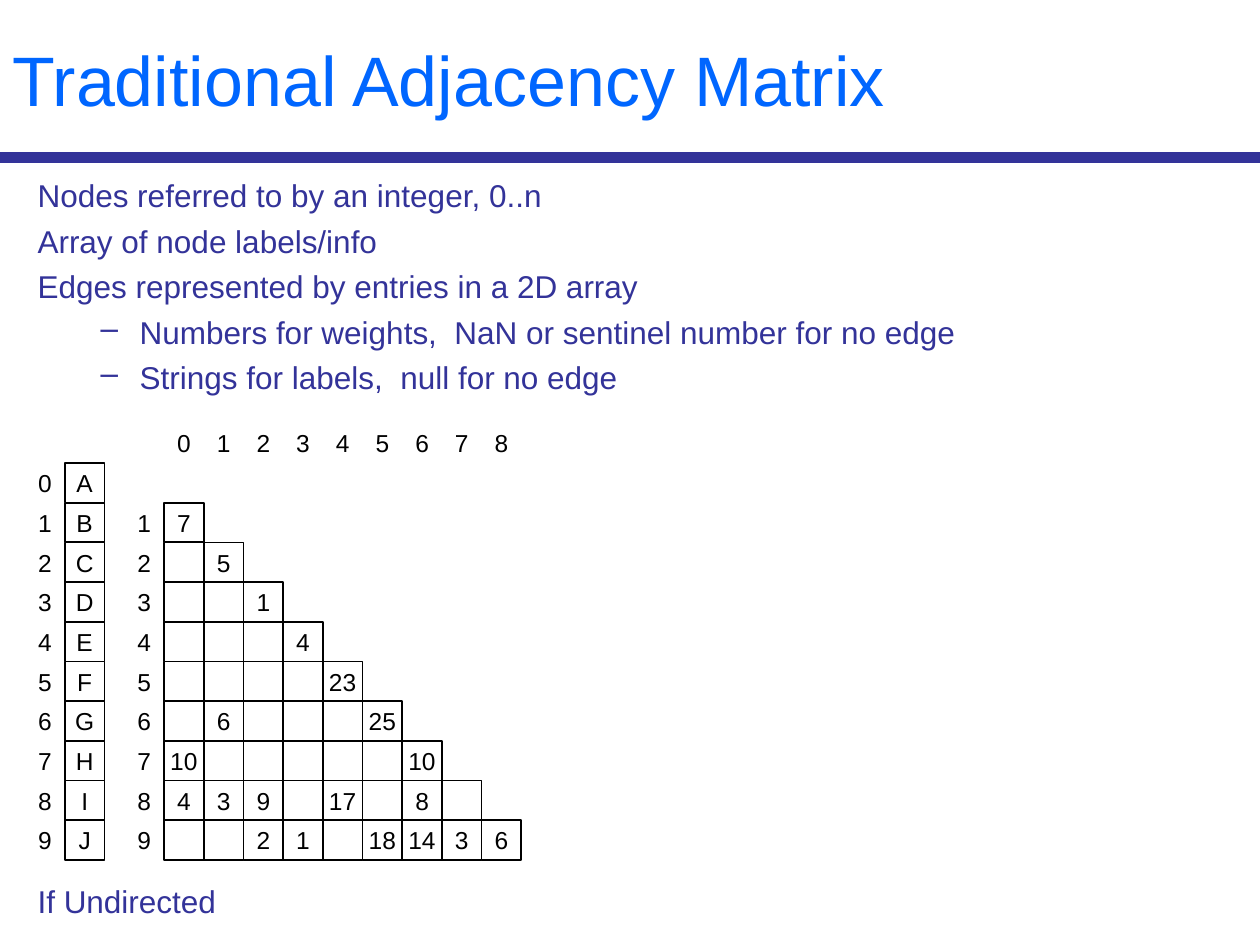
from lxml import etree
from pptx import Presentation
from pptx.dml.color import RGBColor
from pptx.enum.shapes import MSO_CONNECTOR, MSO_SHAPE
from pptx.enum.text import MSO_ANCHOR, PP_ALIGN
from pptx.oxml.ns import qn
from pptx.util import Inches, Pt

STRAIGHT = MSO_CONNECTOR.STRAIGHT
RECTANGLE = MSO_SHAPE.RECTANGLE
MIDDLE = MSO_ANCHOR.MIDDLE
LEFT, CENTER = PP_ALIGN.LEFT, PP_ALIGN.CENTER

# Grid of square cells
PITCH = 0.315
GRID_LEFT, GRID_TOP = 0.2, 3.36
LABEL_COLUMN, MATRIX_COLUMN = 2.5, 3.5


def style_font(font, size, color):
    font.name = "Arial"
    font.size = Pt(size)
    font.color.rgb = RGBColor.from_string(color)


def add_cell(column, row, text, outlined):
    shape = slide.shapes.add_shape(
        RECTANGLE, Inches(GRID_LEFT + column * PITCH),
        Inches(GRID_TOP + row * PITCH), Inches(PITCH), Inches(PITCH))
    shape.shadow.inherit = False
    shape.fill.solid()
    shape.fill.fore_color.rgb = RGBColor.from_string("FFFFFF")
    if outlined:
        shape.line.color.rgb = RGBColor.from_string("000000")
        shape.line.width = Pt(1)
    else:
        shape.line.fill.background()
    if text:
        frame = shape.text_frame
        frame.text = text
        frame.word_wrap = False
        frame.vertical_anchor = MIDDLE
        frame.paragraphs[0].alignment = CENTER
        style_font(frame.paragraphs[0].runs[0].font, 14, "000000")


presentation = Presentation()
presentation.slide_width = Inches(10)
presentation.slide_height = Inches(7.5)
slide = presentation.slides.add_slide(presentation.slide_layouts[5])

# Title and the rule below it
title = slide.shapes.title
title.left, title.top = 0, 0
title.width, title.height = presentation.slide_width, Inches(1.25)
title.text_frame.text = "Traditional Adjacency Matrix"
title.text_frame.vertical_anchor = MIDDLE
title.text_frame.paragraphs[0].alignment = LEFT
style_font(title.text_frame.paragraphs[0].runs[0].font, 40, "0066FF")

rule = slide.shapes.add_connector(
    STRAIGHT, 0, Inches(1.25), presentation.slide_width, Inches(1.25))
rule.line.color.rgb = RGBColor.from_string("333399")
rule.line.width = Pt(6)
etree.SubElement(rule._element.spPr, qn("a:effectLst"))

# Points above and below the matrix: (top, height, [(level, text)])
text_blocks = [
    (1.35, 1.85, [
        (0, "Nodes referred to by an integer, 0..n"),
        (0, "Array of node labels/info"),
        (0, "Edges represented by entries in a 2D array"),
        (1, "Numbers for weights,  NaN or sentinel number for no edge"),
        (1, "Strings for labels,  null for no edge"),
    ]),
    (6.95, 0.4, [(0, "If Undirected")]),
]
for top, height, points in text_blocks:
    box = slide.shapes.add_textbox(
        Inches(0.2), Inches(top), Inches(9.6), Inches(height))
    frame = box.text_frame
    frame.word_wrap = True
    for index, (level, text) in enumerate(points):
        paragraph = frame.add_paragraph() if index else frame.paragraphs[0]
        paragraph.text = text
        paragraph.level = level
        if index:
            paragraph.space_before = Pt(4.4)
        if level:
            properties = paragraph._p.get_or_add_pPr()
            properties.set("marL", str(Inches(0.81)))
            properties.set("indent", str(Inches(-0.31)))
            etree.SubElement(properties, qn("a:buChar"), char="–")
        style_font(paragraph.runs[0].font, 18, "333399")

# Node array with its indices
for node, label in enumerate("ABCDEFGHIJ"):
    add_cell(0, node + 1, str(node), False)
    add_cell(1, node + 1, label, True)

# Lower triangle of the matrix: weights[(row, column)]
weights = {
    (1, 0): 7, (2, 1): 5, (3, 2): 1, (4, 3): 4, (5, 4): 23,
    (6, 1): 6, (6, 5): 25, (7, 0): 10, (7, 6): 10,
    (8, 0): 4, (8, 1): 3, (8, 2): 9, (8, 4): 17, (8, 6): 8,
    (9, 2): 2, (9, 3): 1, (9, 5): 18, (9, 6): 14, (9, 7): 3, (9, 8): 6,
}
for column in range(9):
    add_cell(MATRIX_COLUMN + column, 0, str(column), False)
for row in range(1, 10):
    add_cell(LABEL_COLUMN, row + 1, str(row), False)
    for column in range(row):
        weight = weights.get((row, column), "")
        add_cell(MATRIX_COLUMN + column, row + 1, str(weight), True)

presentation.save("out.pptx")
